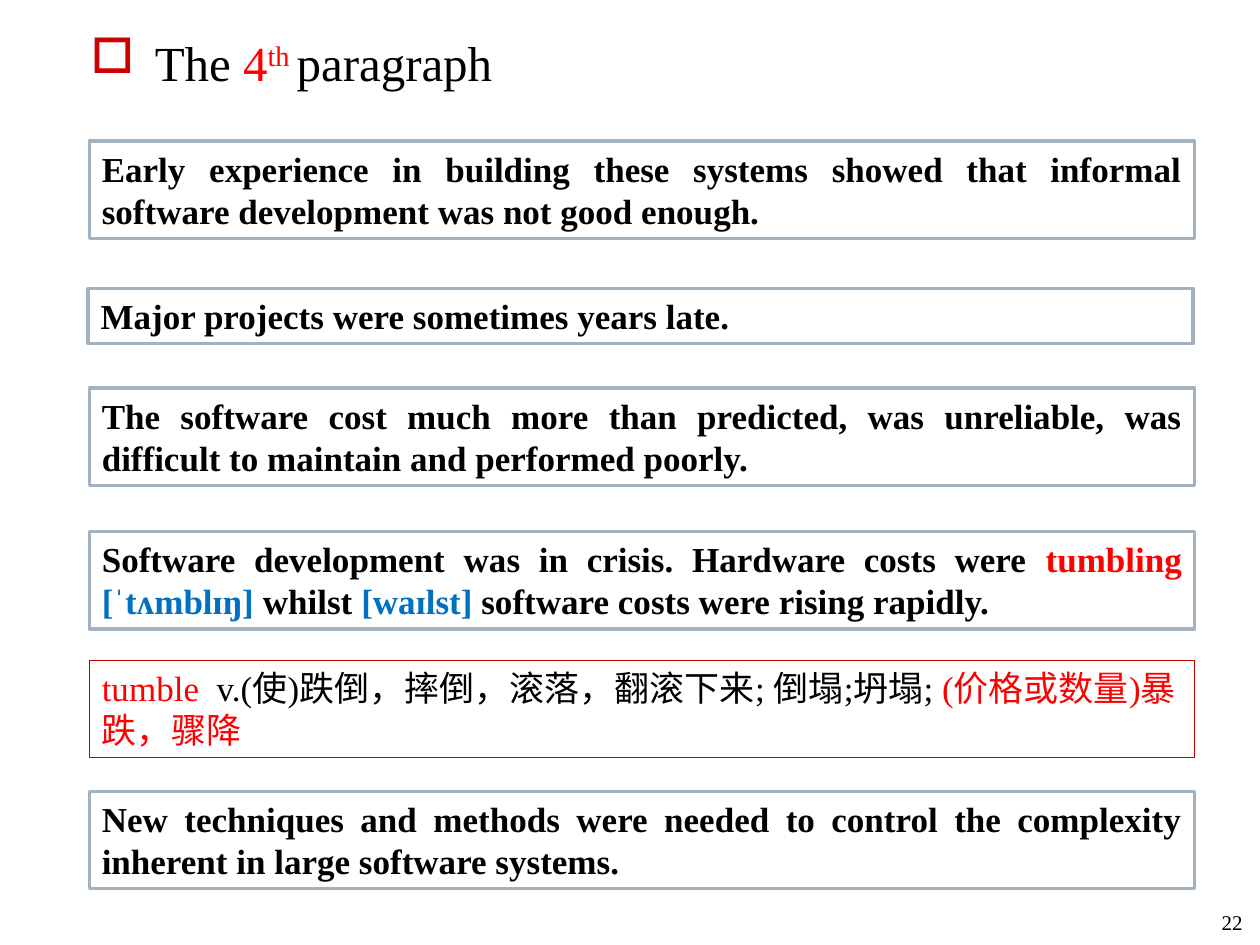
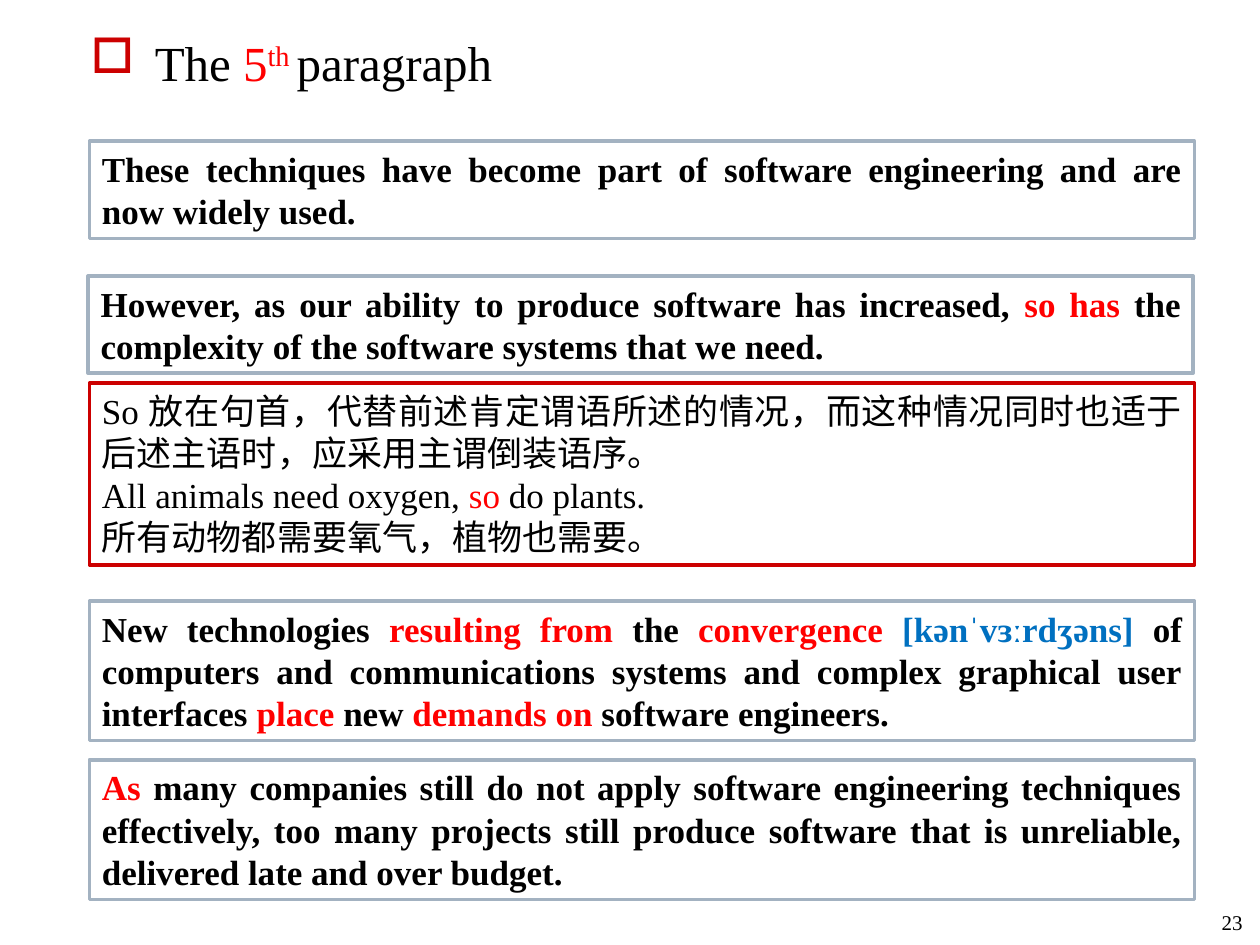
"""Build two reading slides with boxed sentences and word notes."""
import lxml.etree
import pptx
import pptx.dml.color
import pptx.enum.shapes
import pptx.enum.text
import pptx.oxml.ns
import pptx.util

Pt = pptx.util.Pt
RGB = pptx.dml.color.RGBColor
ALIGN = pptx.enum.text.PP_ALIGN
ANCHOR = pptx.enum.text.MSO_ANCHOR
BLACK = RGB(0, 0, 0)
WHITE = RGB(255, 255, 255)
RED = RGB(255, 0, 0)
BLUE = RGB(0, 0x70, 0xC0)
GREY = RGB(0xA3, 0xB2, 0xC1)
DARK = RGB(0xC0, 0, 0)
BRIGHT = RGB(0xCC, 0, 0)
FACE = "Times New Roman"
LEFT, INNER, WIDTH = 51.12, 50.4, 631.44
LINE, PAD = 24.2, 7.2

FOURTH = [
    (LEFT, 80.64, 2, ["Early experience in building these systems showed that "
                      "informal software development was not good enough. "]),
    (INNER, 164.88, 1, ["Major projects were sometimes years late. "]),
    (LEFT, 221.76, 2, ["The software cost much more than predicted, was unreliable, "
                       "was difficult to maintain and performed poorly. "]),
    (LEFT, 303.84, 2, ["Software development was in crisis. Hardware costs were ",
                       ("tumbling ", RED), ("[ˈtʌmblɪŋ]", BLUE), " whilst ",
                       ("[waɪlst]", BLUE), " software costs were rising rapidly. "]),
    (LEFT, 452.16, 2, ["New techniques and methods were needed to control the "
                       "complexity inherent in large software systems."]),
]
TUMBLE = [[("tumble  ", RED), "v.(使)跌倒，摔倒，滚落，翻滚下来; 倒塌;坍塌; ",
           ("(价格或数量)暴跌，骤降", RED)]]

FIFTH = [
    (LEFT, 80.64, 2, ["These techniques have become part of software engineering "
                      "and are now widely used. "]),
    (INNER, 157.68, 2, ["However, as our ability to produce software has increased, ",
                        ("so has", RED),
                        " the complexity of the software systems that we need."]),
    (LEFT, 343.44, 3, ["New technologies ", ("resulting from", RED), " the ",
                       ("convergence ", RED), ("[kənˈvɜːrdʒəns]", BLUE),
                       " of computers and communications systems and complex "
                       "graphical user interfaces ", ("place", RED), " new ",
                       ("demands on", RED), " software engineers."]),
    (LEFT, 434.16, 3, [("As", RED),
                       " many companies still do not apply software engineering "
                       "techniques effectively, too many projects still produce "
                       "software that is unreliable, delivered late and over budget."]),
]
SO_RULE = [
    ["So 放在句首，代替前述肯定谓语所述的情况，而这种情况同时也适于后述主语时，应采用主谓倒装语序。"],
    ["All animals need oxygen, ", ("so", RED), " do plants."],
    ["所有动物都需要氧气，植物也需要。"],
]


def write(para, parts, size, align=ALIGN.LEFT, bold=False):
    """Fill a paragraph with plain strings or (text, colour) pairs."""
    para.alignment = align
    para.font.name, para.font.size, para.font.bold = FACE, Pt(size), bold
    for part in parts:
        text, tint = (part, BLACK) if isinstance(part, str) else part
        run = para.add_run()
        run.text = text
        run.font.color.rgb = tint


def add_text(slide, left, top, width, height, anchor):
    """Add a wrapping text box and return its first paragraph."""
    frame = slide.shapes.add_textbox(Pt(left), Pt(top), Pt(width), Pt(height)).text_frame
    frame.word_wrap = True
    frame.vertical_anchor = anchor
    return frame.paragraphs[0]


def add_title(slide, digit):
    """Add the heading with its square bullet and raised ordinal."""
    para = add_text(slide, 44.64, 15.12, 630, 44, ANCHOR.TOP)
    para.space_before = Pt(2.8)
    props = para._p.get_or_add_pPr()
    props.set("marL", str(Pt(36.72)))
    props.set("indent", str(-Pt(36.72)))
    qn = pptx.oxml.ns.qn
    tint = lxml.etree.SubElement(props, qn("a:buClr"))
    lxml.etree.SubElement(tint, qn("a:srgbClr"), val=str(BRIGHT))
    lxml.etree.SubElement(props, qn("a:buChar"), char="□")
    write(para, ["The ", (digit, RED), ("th ", RED), "paragraph"], 28)
    para.runs[2]._r.get_or_add_rPr().set("baseline", "30000")


def add_box(slide, left, top, lines, paras, edge=GREY, weight=2,
            align=ALIGN.JUSTIFY, bold=False, fill=WHITE):
    """Add a framed box tall enough for its lines of text."""
    box = slide.shapes.add_shape(pptx.enum.shapes.MSO_SHAPE.RECTANGLE, Pt(left),
                                 Pt(top), Pt(WIDTH), Pt(LINE * lines + PAD))
    box.shadow.inherit = False
    if fill is None:
        box.fill.background()
    else:
        box.fill.solid()
        box.fill.fore_color.rgb = fill
    box.line.color.rgb = edge
    box.line.width = Pt(weight)
    frame = box.text_frame
    frame.word_wrap = True
    frame.vertical_anchor = ANCHOR.TOP
    frame.auto_size = pptx.enum.text.MSO_AUTO_SIZE.SHAPE_TO_FIT_TEXT
    for count, parts in enumerate(paras):
        para = frame.add_paragraph() if count else frame.paragraphs[0]
        write(para, parts, 20, align, bold)


def add_page(deck, digit, number, boxes):
    """Add a slide with heading, page number and sentence boxes."""
    slide = deck.slides.add_slide(deck.slide_layouts[6])
    add_title(slide, digit)
    write(add_text(slide, 674.64, 496.8, 42.48, 41.04, ANCHOR.BOTTOM),
          [number], 12, ALIGN.RIGHT)
    for left, top, lines, parts in boxes:
        add_box(slide, left, top, lines, [parts], bold=True)
    return slide


def main():
    """Build and save both slides."""
    deck = pptx.Presentation()
    deck.slide_width, deck.slide_height = Pt(720), Pt(540)
    page = add_page(deck, "4", "22", FOURTH)
    add_box(page, LEFT, 377.28, 2, TUMBLE, DARK, 0.75, ALIGN.LEFT, fill=None)
    page = add_page(deck, "5", "23", FIFTH)
    add_box(page, LEFT, 218.88, 4, SO_RULE, BRIGHT)
    deck.save("out.pptx")


if __name__ == "__main__":
    main()
